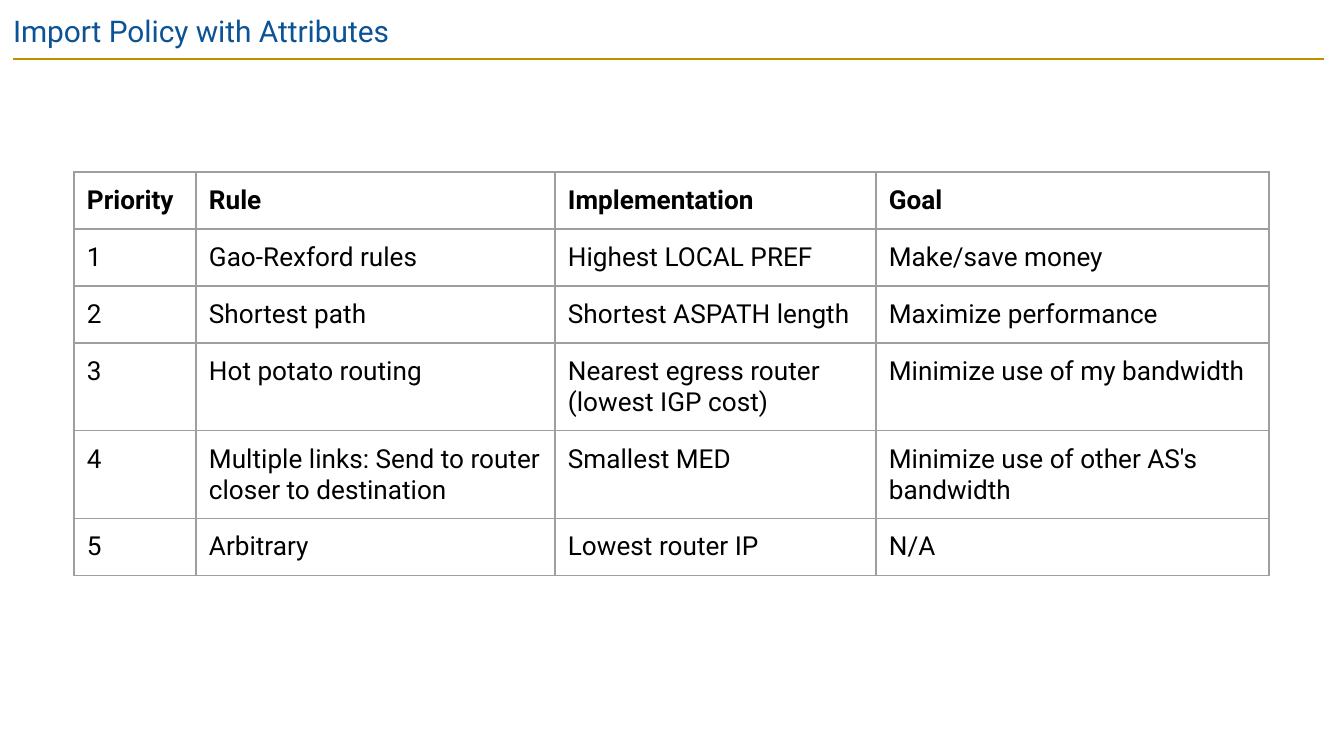
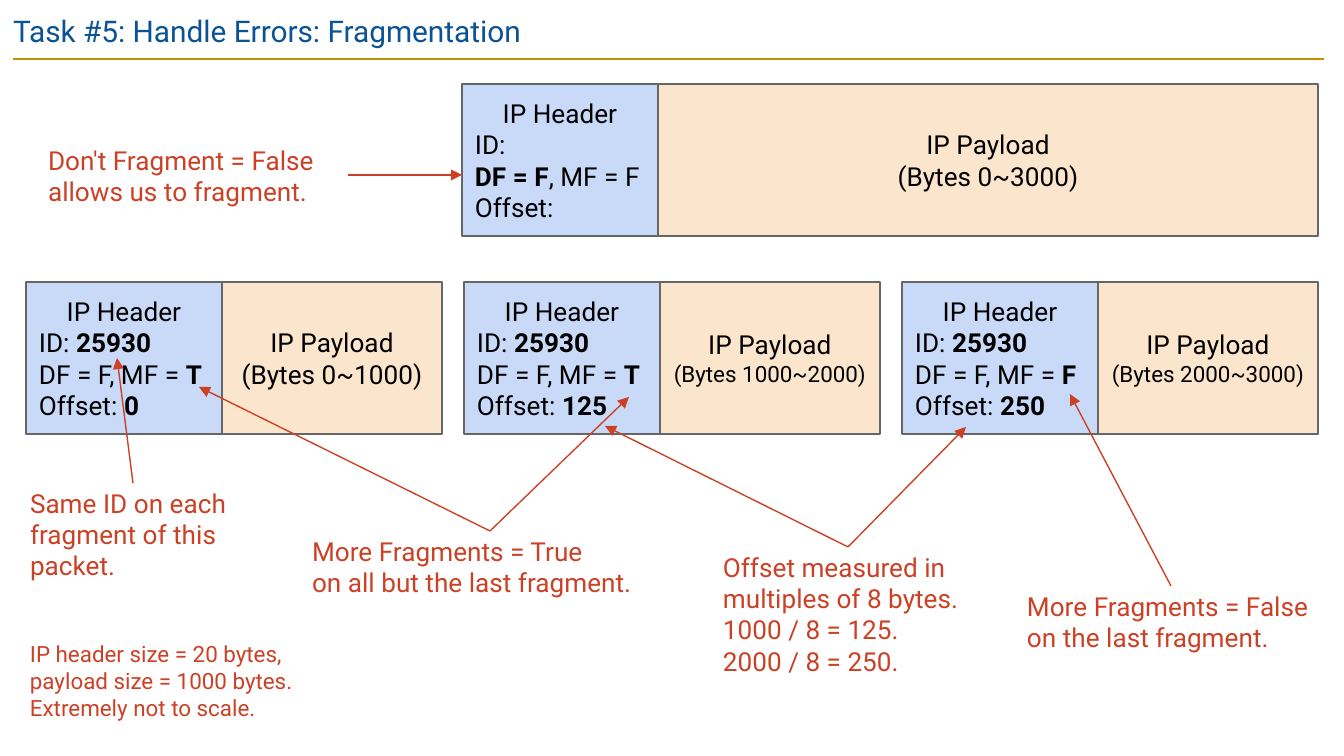
from lxml import etree
from pptx import Presentation
from pptx.dml.color import RGBColor
from pptx.enum.shapes import MSO_CONNECTOR, MSO_SHAPE
from pptx.enum.text import MSO_ANCHOR, MSO_AUTO_SIZE, PP_ALIGN
from pptx.oxml.ns import qn
from pptx.util import Emu, Pt

SLIDE_WIDTH, SLIDE_HEIGHT = 1344, 756
EMU_PER_PX = 9144000 / SLIDE_WIDTH
TITLE_ONLY = 5

FONT = "Roboto"
TITLE_BLUE = "0B5394"
RULE_GOLD = "BF9000"
BLACK = "000000"
NOTE_RED = "CC4125"
HEADER_BLUE = "C9DAF8"
PAYLOAD_PEACH = "FCE5CD"
BOX_LINE = "666666"
TABLE_LINE = "9E9E9E"
THIN = 0.75

HEADER_WIDTH = 196
PACKET_HEIGHT = 152

POLICY_COLUMNS = [122, 359, 321, 393]
POLICY_ROW_HEIGHT = 57
POLICY_ROWS = [
    ["Priority", "Rule", "Implementation", "Goal"],
    ["1", "Gao-Rexford rules", "Highest LOCAL PREF", "Make/save money"],
    ["2", "Shortest path", "Shortest ASPATH length", "Maximize performance"],
    ["3", "Hot potato routing", "Nearest egress router (lowest IGP cost)",
     "Minimize use of my bandwidth"],
    ["4", "Multiple links: Send to router closer to destination", "Smallest MED",
     "Minimize use of other AS's bandwidth"],
    ["5", "Arbitrary", "Lowest router IP", "N/A"],
]

# More-fragments flag, offset, byte range, size of the byte range
FRAGMENTS = [
    ("T", "0", "0~1000", 14),
    ("T", "125", "1000~2000", 12),
    ("F", "250", "2000~3000", 12),
]


def px(length):
    return Emu(round(length * EMU_PER_PX))


def color(hex_string):
    return RGBColor.from_string(hex_string)


def write_text(frame, lines, size=14, text_color=BLACK, align=PP_ALIGN.LEFT,
               anchor=MSO_ANCHOR.TOP, margin=13):
    """Write one paragraph per line; ** switches bold on and off."""
    frame.word_wrap = True
    frame.auto_size = MSO_AUTO_SIZE.NONE
    frame.vertical_anchor = anchor
    frame.margin_left = frame.margin_right = px(margin)
    frame.margin_top = frame.margin_bottom = px(margin)
    for index, line in enumerate(lines):
        paragraph = frame.paragraphs[0] if index == 0 else frame.add_paragraph()
        paragraph.alignment = align
        for part, text in enumerate(line.split("**")):
            if text:
                run = paragraph.add_run()
                run.text = text
                run.font.name = FONT
                run.font.size = Pt(size)
                run.font.bold = part % 2 == 1
                run.font.color.rgb = color(text_color)


def add_line(slide, start, end, line_color, width=THIN, arrow=False):
    line = slide.shapes.add_connector(
        MSO_CONNECTOR.STRAIGHT, *(px(value) for value in (*start, *end)))
    line.line.color.rgb = color(line_color)
    line.line.width = Pt(width)
    if arrow:
        outline = line.line._get_or_add_ln()
        etree.SubElement(outline, qn("a:tailEnd"), type="triangle")
    etree.SubElement(line._element.spPr, qn("a:effectLst"))


def add_titled_slide(presentation, title):
    slide = presentation.slides.add_slide(presentation.slide_layouts[TITLE_ONLY])
    add_line(slide, (13, 59), (1324, 59), RULE_GOLD, width=1.5)
    shape = slide.shapes.title
    shape.left, shape.top, shape.width, shape.height = map(px, (0, 0, 1253, 58))
    write_text(shape.text_frame, [title], size=16, text_color=TITLE_BLUE)
    return slide


def set_cell_borders(cell):
    properties = cell._tc.get_or_add_tcPr()
    for index, side in enumerate(("lnL", "lnR", "lnT", "lnB")):
        border = etree.Element(qn(f"a:{side}"), w=str(Pt(THIN)))
        fill = etree.SubElement(border, qn("a:solidFill"))
        etree.SubElement(fill, qn("a:srgbClr"), val=TABLE_LINE)
        properties.insert(index, border)


def add_policy_table(slide, left, top):
    table = slide.shapes.add_table(
        len(POLICY_ROWS), len(POLICY_COLUMNS), px(left), px(top),
        px(sum(POLICY_COLUMNS)), px(POLICY_ROW_HEIGHT * len(POLICY_ROWS))).table
    table.first_row = table.horz_banding = False
    for column, width in zip(table.columns, POLICY_COLUMNS):
        column.width = px(width)
    for row_index, texts in enumerate(POLICY_ROWS):
        table.rows[row_index].height = px(POLICY_ROW_HEIGHT)
        for column_index, text in enumerate(texts):
            cell = table.cell(row_index, column_index)
            cell.fill.background()
            cell.margin_left = cell.margin_right = px(13)
            cell.margin_top = cell.margin_bottom = px(13)
            write_cell(cell, text, bold=row_index == 0)
            set_cell_borders(cell)


def write_cell(cell, text, bold):
    paragraph = cell.text_frame.paragraphs[0]
    run = paragraph.add_run()
    run.text = text
    run.font.name = FONT
    run.font.size = Pt(14)
    run.font.bold = bold
    run.font.color.rgb = color(BLACK)


def add_box(slide, box, fill, lines):
    shape = slide.shapes.add_shape(MSO_SHAPE.RECTANGLE, *map(px, box))
    shape.shadow.inherit = False
    shape.fill.solid()
    shape.fill.fore_color.rgb = color(fill)
    shape.line.color.rgb = color(BOX_LINE)
    shape.line.width = Pt(THIN)
    write_text(shape.text_frame, lines, anchor=MSO_ANCHOR.MIDDLE)
    return shape.text_frame.paragraphs


def add_packet(slide, left, top, payload_width, fields, byte_range, range_size=14):
    """Draw a header with its fields and the payload that follows it."""
    heading, *_ = add_box(slide, (left, top, HEADER_WIDTH, PACKET_HEIGHT),
                          HEADER_BLUE, ["IP Header", *fields])
    heading.alignment = PP_ALIGN.CENTER
    payload = add_box(
        slide, (left + HEADER_WIDTH, top, payload_width, PACKET_HEIGHT),
        PAYLOAD_PEACH, ["IP Payload", f"(Bytes {byte_range})"])
    for paragraph in payload:
        paragraph.alignment = PP_ALIGN.CENTER
    payload[1].runs[0].font.size = Pt(range_size)


def add_note(slide, box, lines, targets=(), size=14, from_right=False):
    """Write a note with arrows from its top centre, or its right side, to targets."""
    left, top, width, height = box
    text_box = slide.shapes.add_textbox(*map(px, box))
    write_text(text_box.text_frame, lines, size=size, text_color=NOTE_RED, margin=4)
    start = (left + width, top + height // 2) if from_right else (left + width // 2, top)
    for target in targets:
        add_line(slide, start, target, NOTE_RED, arrow=True)


def build_policy_slide(presentation):
    slide = add_titled_slide(presentation, "Import Policy with Attributes")
    add_policy_table(slide, 74, 172)


def build_fragmentation_slide(presentation):
    slide = add_titled_slide(presentation, "Task #5: Handle Errors: Fragmentation")
    add_packet(slide, 462, 84, 660, ["ID:", "**DF = F**, MF = F", "Offset:"], "0~3000")
    for index, (more, offset, byte_range, range_size) in enumerate(FRAGMENTS):
        fields = ["ID: **25930**", f"DF = F, MF = **{more}**", f"Offset: **{offset}**"]
        add_packet(slide, 26 + 438 * index, 282, 220, fields, byte_range, range_size)

    add_note(slide, (44, 140, 304, 71),
             ["Don't Fragment = False allows us to fragment."],
             [(462, 175)], from_right=True)
    add_note(slide, (26, 483, 215, 103),
             ["Same ID on each fragment of this packet."], [(117, 358)])
    add_note(slide, (308, 531, 364, 71),
             ["More Fragments = True", "on all but the last fragment."],
             [(199, 387), (629, 397)])
    add_note(slide, (719, 547, 258, 134),
             ["Offset measured in multiples of 8 bytes. 1000 / 8 = 125.",
              "2000 / 8 = 250."],
             [(605, 426), (966, 427)])
    add_note(slide, (1023, 586, 297, 71),
             ["More Fragments = False", "on the last fragment."], [(1070, 394)])
    add_note(slide, (26, 636, 278, 90),
             ["IP header size = 20 bytes, payload size = 1000 bytes. "
              "Extremely not to scale."], size=12)


def main():
    presentation = Presentation()
    presentation.slide_width = px(SLIDE_WIDTH)
    presentation.slide_height = px(SLIDE_HEIGHT)
    build_policy_slide(presentation)
    build_fragmentation_slide(presentation)
    presentation.save("out.pptx")


if __name__ == "__main__":
    main()
